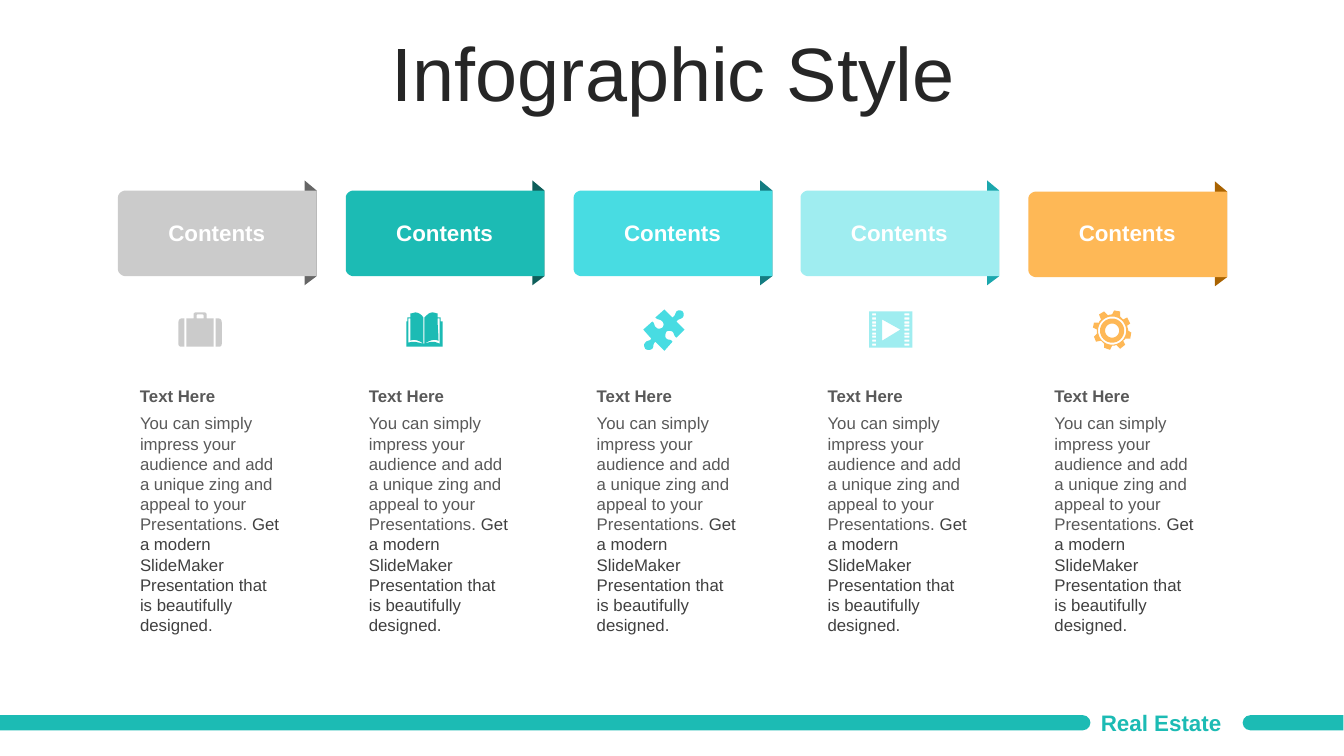
from dataclasses import dataclass

from pptx import Presentation
from pptx.dml.color import RGBColor
from pptx.enum.shapes import MSO_SHAPE
from pptx.enum.text import MSO_ANCHOR, PP_ALIGN
from pptx.shapes.autoshape import Shape
from pptx.shapes.shapetree import SlideShapes
from pptx.text.text import _Paragraph
from pptx.util import Pt

PX = 9144
FONT = "Arial"
BAR_SHAPE = MSO_SHAPE.ROUND_2_SAME_RECTANGLE
TOP, MIDDLE = MSO_ANCHOR.TOP, MSO_ANCHOR.MIDDLE
LEFT, CENTER, JUSTIFY = PP_ALIGN.LEFT, PP_ALIGN.CENTER, PP_ALIGN.JUSTIFY

WHITE = RGBColor(0xFF, 0xFF, 0xFF)
INK = RGBColor(0x26, 0x26, 0x26)
DARK_GRAY = RGBColor(0x40, 0x40, 0x40)
TEXT_GRAY = RGBColor(0x59, 0x59, 0x59)
GRAY = RGBColor(0xCB, 0xCB, 0xCB)
GRAY_FOLD = RGBColor(0x66, 0x66, 0x66)
TEAL = RGBColor(0x1C, 0xBB, 0xB4)
TEAL_FOLD = RGBColor(0x0E, 0x5E, 0x5A)
CYAN = RGBColor(0x48, 0xDC, 0xE2)
CYAN_FOLD = RGBColor(0x14, 0x7C, 0x81)
PALE = RGBColor(0x9F, 0xED, 0xF0)
PALE_FOLD = RGBColor(0x1B, 0xA7, 0xAD)
ORANGE = RGBColor(0xFE, 0xB8, 0x56)
ORANGE_FOLD = RGBColor(0xA9, 0x63, 0x01)

BODY_START = ("You can simply impress your audience and add a unique zing "
              "and appeal to your Presentations. ")
BODY_END = "Get a modern SlideMaker Presentation that is beautifully designed."

COLUMN_LEFT, COLUMN_STEP = 117, 225.75
BANNER = "M 8 0 L 197 0 197 85 8 85 C 4 85 0 82 0 78 L 0 7 C 0 3 4 0 8 0"
FOLD = "M 185 -10 L 197 0 197 85 185 94"


def rectangle(x: int, y: int, w: int, h: int) -> str:
    return f"M {x} {y} L {x + w} {y} {x + w} {y + h} {x} {y + h} "


def circle(cx: int, cy: int, r: int) -> str:
    k = round(r * 0.55, 2)
    return (f"M {cx + r} {cy} C {cx + r} {cy + k} {cx + k} {cy + r} {cx} {cy + r} "
            f"{cx - k} {cy + r} {cx - r} {cy + k} {cx - r} {cy} "
            f"{cx - r} {cy - k} {cx - k} {cy - r} {cx} {cy - r} "
            f"{cx + k} {cy - r} {cx + r} {cy - k} {cx + r} {cy} ")


SUITCASE = (
    "M 214 316 L 217 316 C 219 316 220 318 220 320 L 220 341 C 220 343 219 344 217 344 L 214 344 "
    "M 180 316 L 183 316 183 344 180 344 C 178 344 177 343 177 341 L 177 320 "
    "C 177 318 178 316 180 316 "
    "M 196 312 C 195 312 195 313 195 314 L 195 316 202 316 202 314 C 202 313 202 312 201 312 "
    "M 194 310 L 203 310 C 204 310 205 311 205 312 L 205 316 212 316 212 344 185 344 "
    "185 316 192 316 192 312 C 192 311 193 310 194 310")
BOOK = (
    "M 420 341 L 421 341 C 427 339 430 338 436 341 L 436 316 434 316 "
    "C 434 323 435 331 435 338 430 336 426 338 421 341 L 421 315 C 424 312 426 310 429 310 "
    "431 310 433 311 434 311 L 434 315 437 315 437 319 439 319 439 344 403 344 403 319 "
    "404 319 404 315 407 315 407 311 C 409 311 411 310 412 310 415 310 418 312 420 315 "
    "L 420 341 C 416 338 411 336 407 338 L 407 316 405 316 405 340 C 411 338 415 340 420 341")
PUZZLE = (
    "M 677 309 C 678 310 679 313 677 315 675 317 673 316 671 319 L 679 327 671 335 "
    "C 668 333 669 331 667 329 665 328 662 328 661 329 660 331 659 334 661 336 "
    "664 338 665 336 667 339 L 659 348 650 339 C 647 342 649 343 647 346 "
    "644 348 641 347 640 346 639 344 638 342 640 340 642 337 644 339 646 336 "
    "L 638 327 647 319 C 650 321 648 323 651 325 653 327 655 326 657 325 "
    "658 324 659 321 657 319 654 316 653 318 650 315 L 659 307 667 315 "
    "C 670 313 669 312 671 309 673 307 676 308 677 309")
FILM = (rectangle(862, 309, 43, 36) + "M 875 317 L 875 338 893 327 "
        + "".join(rectangle(x, 311 + round(row * 3.75), w, 2)
                  for x, w in ((865, 4), (897, 5)) for row in range(9)))
GEAR = (
    "M 1111 309 L 1111 314 C 1112 315 1113 316 1114 317 L 1118 315 1121 321 1118 323 "
    "C 1118 325 1119 326 1119 328 L 1122 330 1121 336 1116 336 C 1116 337 1115 337 1114 338 "
    "L 1116 342 1111 346 1107 342 C 1106 343 1105 343 1103 343 L 1101 347 1095 345 1095 341 "
    "C 1094 340 1093 339 1092 338 L 1087 339 1085 334 1088 331 C 1088 330 1088 329 1088 327 "
    "L 1084 325 1085 320 1090 320 C 1090 319 1091 318 1092 317 L 1090 312 1095 309 1099 313 "
    "C 1100 312 1102 312 1103 312 L 1105 308 "
    + "".join(circle(1103, 328, r) for r in (14, 12, 7)))


@dataclass
class Column:
    fill: RGBColor
    fold: RGBColor
    icon: str
    text_left: int
    banner_top: int = 189


COLUMNS = [
    Column(GRAY, GRAY_FOLD, SUITCASE, 129),
    Column(TEAL, TEAL_FOLD, BOOK, 356),
    Column(CYAN, CYAN_FOLD, PUZZLE, 582),
    Column(PALE, PALE_FOLD, FILM, 811),
    Column(ORANGE, ORANGE_FOLD, GEAR, 1036, 190),
]


def paint(sp: Shape, color: RGBColor) -> None:
    sp.shadow.inherit = False
    sp.fill.solid()
    sp.fill.fore_color.rgb = color
    sp.line.fill.background()


def trace(contour: str, dx: int, dy: int) -> list[tuple[int, int]]:
    points: list[tuple[float, float]] = []
    numbers: list[float] = []
    needed = 2
    for token in contour.split():
        if token in "LC":
            needed = 6 if token == "C" else 2
            continue
        numbers.append(float(token))
        if len(numbers) < needed:
            continue
        if needed == 2:
            points.append((numbers[0], numbers[1]))
        else:
            controls = [points[-1], *zip(numbers[::2], numbers[1::2])]
            for step in range(1, 9):
                t = step / 8
                weights = ((1 - t) ** 3, 3 * t * (1 - t) ** 2, 3 * t * t * (1 - t), t ** 3)
                points.append((sum(w * c[0] for w, c in zip(weights, controls)),
                               sum(w * c[1] for w, c in zip(weights, controls))))
        numbers = []
    return [(round((x + dx) * PX), round((y + dy) * PX)) for x, y in points]


def add_outline(shapes: SlideShapes, outline: str, color: RGBColor,
                dx: int = 0, dy: int = 0) -> None:
    contours = [trace(c, dx, dy) for c in outline.split("M")[1:]]
    builder = shapes.build_freeform(*contours[0][0], scale=1.0)
    for i, contour in enumerate(contours):
        if i:
            builder.move_to(*contour[0])
        builder.add_line_segments(contour[1:], close=True)
    paint(builder.convert_to_shape(), color)


def add_text(shapes: SlideShapes, x: int, y: int, w: int, h: int, text: str, size: int,
             color: RGBColor, bold: bool = False, align: PP_ALIGN = LEFT,
             anchor: MSO_ANCHOR = TOP, inset: int = 10) -> _Paragraph:
    tf = shapes.add_textbox(x * PX, y * PX, w * PX, h * PX).text_frame
    tf.word_wrap = True
    tf.vertical_anchor = anchor
    tf.margin_left = tf.margin_right = inset * PX
    p = tf.paragraphs[0]
    p.alignment = align
    p.font.name, p.font.size, p.font.bold = FONT, Pt(size), bold
    r = p.add_run()
    r.text = text
    r.font.color.rgb = color
    return p


def add_bar(shapes: SlideShapes, left: int, length: int, rotation: int) -> None:
    thickness = 15
    shift = (length - thickness) // 2
    sp = shapes.add_shape(BAR_SHAPE, (left + shift) * PX, (709 - shift) * PX,
                          thickness * PX, length * PX)
    sp.adjustments[0], sp.adjustments[1] = 0.5, 0
    sp.rotation = rotation
    paint(sp, TEAL)


def add_column(shapes: SlideShapes, index: int, column: Column) -> None:
    left = COLUMN_LEFT + round(index * COLUMN_STEP)
    add_outline(shapes, FOLD, column.fold, left, column.banner_top)
    add_outline(shapes, BANNER, column.fill, left, column.banner_top)
    add_text(shapes, left + 38, 209, 120, 44, "Contents", 16, WHITE, True, CENTER, MIDDLE, 5)
    add_outline(shapes, column.icon, column.fill)
    add_text(shapes, column.text_left, 378, 164, 30, "Text Here", 12, TEXT_GRAY, True)
    p = add_text(shapes, column.text_left, 405, 162, 232, BODY_START, 12, TEXT_GRAY)
    r = p.add_run()
    r.text = BODY_END
    r.font.color.rgb = DARK_GRAY


def main() -> None:
    prs = Presentation()
    prs.slide_width, prs.slide_height = 1333 * PX, 750 * PX
    shapes = prs.slides.add_slide(prs.slide_layouts[6]).shapes
    add_bar(shapes, 0, 1082, 90)
    add_bar(shapes, 1233, 100, 270)
    add_text(shapes, 1082, 698, 151, 37, "Real Estate", 16, TEAL, True, JUSTIFY, MIDDLE)
    title = add_text(shapes, 35, 37, 1266, 79, "Infographic Style", 54, INK,
                     align=CENTER, anchor=MIDDLE)
    title.line_spacing = 0.9
    for index, column in enumerate(COLUMNS):
        add_column(shapes, index, column)
    prs.save("out.pptx")


if __name__ == "__main__":
    main()
